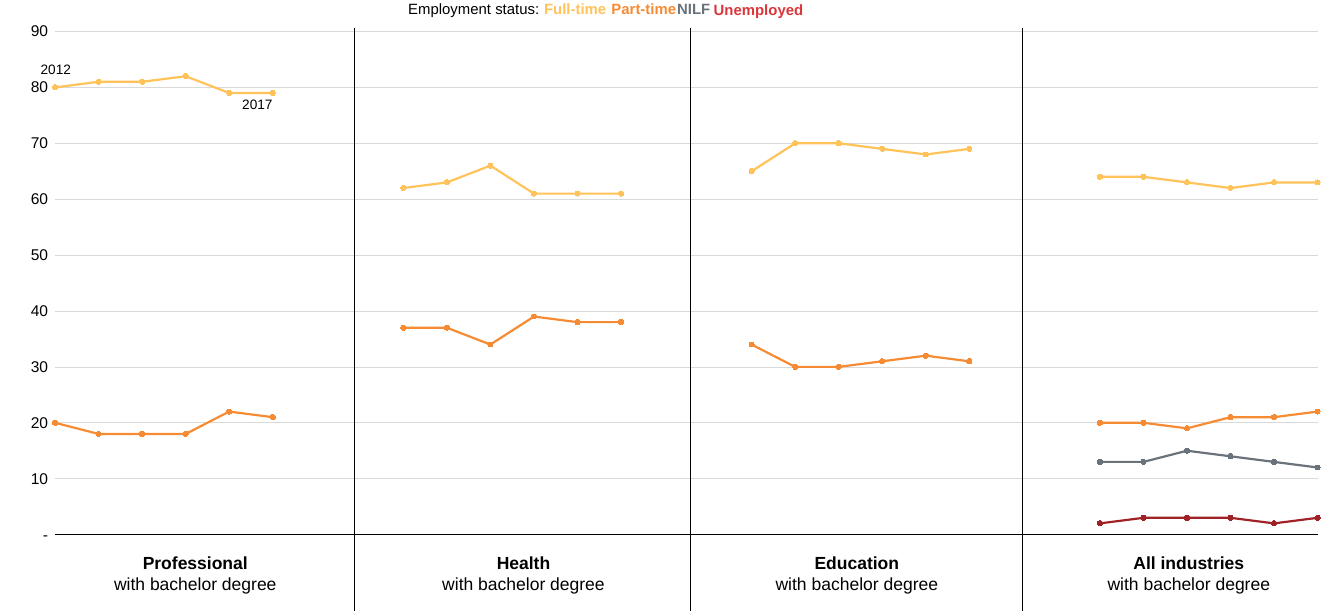
from dataclasses import dataclass

from lxml.etree import SubElement
from pptx import Presentation
from pptx.chart.data import CategoryChartData as ChartData
from pptx.chart.series import LineSeries
from pptx.dml.color import RGBColor
from pptx.enum.chart import XL_CHART_TYPE as ChartType
from pptx.enum.chart import XL_MARKER_STYLE as Marker
from pptx.enum.chart import XL_TICK_LABEL_POSITION as LabelPlace
from pptx.enum.chart import XL_TICK_MARK as Tick
from pptx.enum.shapes import MSO_CONNECTOR as Connector
from pptx.enum.text import MSO_AUTO_SIZE as AutoSize
from pptx.enum.text import PP_ALIGN as Align
from pptx.oxml.ns import qn
from pptx.shapes.autoshape import Shape
from pptx.shapes.shapetree import _BaseGroupShapes as Shapes
from pptx.util import Pt


@dataclass(frozen=True)
class Theme:
    """Colours, font and type sizes of the slide."""
    font: str = "Arial"
    ink: str = "000000"
    paper: str = "FFFFFF"
    grid: str = "D9D9D9"
    full_time: str = "FFC35A"
    part_time: str = "F68B33"
    nilf: str = "6A737B"
    unemployed: str = "DA373B"
    unemployed_line: str = "A02226"
    legend_size: float = 15.3
    axis_size: float = 16
    panel_size: float = 18
    year_size: float = 14
    hairline: float = 0.75
    trend: float = 2.25
    marker: int = 5


@dataclass(frozen=True)
class Frame:
    """A rectangle in points."""
    left: float
    top: float
    width: float
    height: float


@dataclass(frozen=True)
class Status:
    """An employment status with six yearly values per panel."""
    name: str
    color: str
    panels: tuple[tuple[int | None, ...], ...]


@dataclass(frozen=True)
class LegendEntry:
    """A coloured word in the legend."""
    text: str
    frame: Frame
    color: str
    bold: bool = True
    align: Align = Align.LEFT
    fill: str | None = None


THEME = Theme()
SLIDE_WIDTH, SLIDE_HEIGHT = 1381.68, 627.84
CHART = Frame(0, 13, SLIDE_WIDTH, 556.5)
PLOT = Frame(56.6, 19.4, 1298, 517)  # measured from the chart's corner
YEARS, GAP = 6, 2
EMPTY = (None,) * YEARS
NUMBER_FORMAT = '_(* #,##0_);_(* \\(#,##0\\);_(* "-"_);_(@_)'

STATUSES = (
    Status("Full-time", THEME.full_time, (
        (80, 81, 81, 82, 79, 79), (62, 63, 66, 61, 61, 61),
        (65, 70, 70, 69, 68, 69), (64, 64, 63, 62, 63, 63))),
    Status("Part-time", THEME.part_time, (
        (20, 18, 18, 18, 22, 21), (37, 37, 34, 39, 38, 38),
        (34, 30, 30, 31, 32, 31), (20, 20, 19, 21, 21, 22))),
    Status("Unemployed", THEME.unemployed_line,
           (EMPTY, EMPTY, EMPTY, (2, 3, 3, 3, 2, 3))),
    Status("NILF", THEME.nilf,
           (EMPTY, EMPTY, EMPTY, (13, 13, 15, 14, 13, 12))),
)
LEGEND = (
    LegendEntry("Full-time", Frame(559.4, 2, 107, 16.5), THEME.full_time),
    LegendEntry("Part-time", Frame(628.6, 1.4, 73, 16.5), THEME.part_time),
    LegendEntry("Employment status:", Frame(404, 2, 150.5, 16.5), THEME.ink,
                bold=False, align=Align.RIGHT),
    LegendEntry("NILF", Frame(696.2, 2, 45.4, 16.5), THEME.nilf,
                fill=THEME.paper),
    LegendEntry("Unemployed", Frame(733.7, 3, 115, 16.5), THEME.unemployed,
                fill=THEME.paper),
)
PANELS = {
    "Professional": Frame(33.8, 563.8, 334, 26),
    "Health": Frame(367.2, 563.8, 342, 26),
    "Education": Frame(709.9, 563.8, 342, 26),
    "All industries": Frame(1051.2, 563.8, 342, 26),
}
DIVIDERS = (364.3, 709.9, 1051.2)
DIVIDER_TOP = 28.5
YEAR_LABELS = {"2012": Frame(41.8, 64.8, 34.6, 15),
               "2017": Frame(249, 100, 34.6, 15)}


def rgb(color: str) -> RGBColor:
    """Turn a hex string into a colour."""
    return RGBColor.from_string(color)


def write(shapes: Shapes, frame: Frame, lines: dict[str, bool], *,
          size: float, color: str = THEME.ink, align: Align = Align.LEFT,
          fill: str | None = None, tight: bool = True) -> Shape:
    """Add a text box; lines maps each paragraph to its boldness."""
    box = shapes.add_textbox(Pt(frame.left), Pt(frame.top),
                             Pt(frame.width), Pt(frame.height))
    if fill:
        box.fill.solid()
        box.fill.fore_color.rgb = rgb(fill)
    text = box.text_frame
    text.word_wrap = True
    if tight:
        text.margin_left = text.margin_right = 0
        text.margin_top = text.margin_bottom = 0
        text.auto_size = AutoSize.SHAPE_TO_FIT_TEXT
    for index, (words, bold) in enumerate(lines.items()):
        para = text.add_paragraph() if index else text.paragraphs[0]
        para.alignment = align
        if tight:
            para.line_spacing = 0.9
        span = para.add_run()
        span.text = words
        span.font.name, span.font.size = THEME.font, Pt(size)
        span.font.bold, span.font.color.rgb = bold, rgb(color)
    return box


def style_series(series: LineSeries, color: str) -> None:
    """Give a trend line and its markers one colour."""
    series.smooth = False
    series.format.line.color.rgb = rgb(color)
    series.format.line.width = Pt(THEME.trend)
    series.marker.style, series.marker.size = Marker.CIRCLE, THEME.marker
    series.marker.format.fill.solid()
    series.marker.format.fill.fore_color.rgb = rgb(color)
    series.marker.format.line.color.rgb = rgb(color)


def add_trends(shapes: Shapes) -> None:
    """Draw the line chart, its panels parted by empty categories."""
    data = ChartData()
    panel_count = len(PANELS)
    count = panel_count * YEARS + (panel_count - 1) * GAP
    data.categories = [str(number + 1) for number in range(count)]
    for status in STATUSES:
        values = [value for panel in status.panels
                  for value in panel + (None,) * GAP]
        data.add_series(status.name, values[:count])
    chart = shapes.add_chart(ChartType.LINE_MARKERS, Pt(CHART.left),
                             Pt(CHART.top), Pt(CHART.width),
                             Pt(CHART.height), data).chart
    chart.has_legend = chart.has_title = False
    chart.font.name, chart.font.size = THEME.font, Pt(THEME.axis_size)
    chart.font.color.rgb = rgb(THEME.ink)
    plot = chart.plots[0]
    plot.vary_by_categories = False
    for series, status in zip(plot.series, STATUSES):
        style_series(series, status.color)

    years, percent = chart.category_axis, chart.value_axis
    for axis in (years, percent):
        axis.major_tick_mark = axis.minor_tick_mark = Tick.NONE
    years.tick_label_position = LabelPlace.NONE
    years.format.line.color.rgb = rgb(THEME.ink)
    years.format.line.width = Pt(THEME.hairline)
    percent.minimum_scale, percent.maximum_scale = 0, 90
    percent.major_unit = 10
    percent.format.line.fill.background()
    percent.major_gridlines.format.line.color.rgb = rgb(THEME.grid)
    percent.major_gridlines.format.line.width = Pt(THEME.hairline)
    percent.tick_labels.number_format = NUMBER_FORMAT
    percent.tick_labels.number_format_is_linked = False
    area = chart.element.find(".//" + qn("c:plotArea"))
    scale = area.find(qn("c:valAx"))
    crossing = SubElement(scale, qn("c:crossBetween"))
    crossing.set("val", "midCat")
    scale.find(qn("c:majorUnit")).addprevious(crossing)
    for old in area.findall(qn("c:layout")):
        area.remove(old)
    layout = SubElement(area, qn("c:layout"))
    area.insert(0, layout)
    manual = SubElement(layout, qn("c:manualLayout"))
    for tag, value in (("layoutTarget", "inner"),
                       ("xMode", "edge"), ("yMode", "edge"),
                       ("x", PLOT.left / CHART.width),
                       ("y", PLOT.top / CHART.height),
                       ("w", PLOT.width / CHART.width),
                       ("h", PLOT.height / CHART.height)):
        SubElement(manual, qn(f"c:{tag}")).set("val", str(value))


def add_divider(shapes: Shapes, left: float) -> None:
    """Draw a vertical rule between two panels."""
    rule = shapes.add_connector(Connector.STRAIGHT, Pt(left), Pt(DIVIDER_TOP),
                                Pt(left), Pt(SLIDE_HEIGHT))
    rule.line.color.rgb = rgb(THEME.ink)
    rule.line.width = Pt(THEME.hairline)
    SubElement(rule.element.spPr, qn("a:effectLst"))


deck = Presentation()
deck.slide_width, deck.slide_height = Pt(SLIDE_WIDTH), Pt(SLIDE_HEIGHT)
page = deck.slides.add_slide(deck.slide_layouts[6])
add_trends(page.shapes)
legend = page.shapes.add_group_shape()
for entry in LEGEND:
    write(legend.shapes, entry.frame, {entry.text: entry.bold},
          size=THEME.legend_size, color=entry.color, align=entry.align,
          fill=entry.fill)
for industry, place in PANELS.items():
    write(page.shapes, place, {industry: True, "with bachelor degree": False},
          size=THEME.panel_size, align=Align.CENTER, tight=False)
for position in DIVIDERS:
    add_divider(page.shapes, position)
for year, place in YEAR_LABELS.items():
    write(page.shapes, place, {year: False}, size=THEME.year_size)
deck.save("out.pptx")
